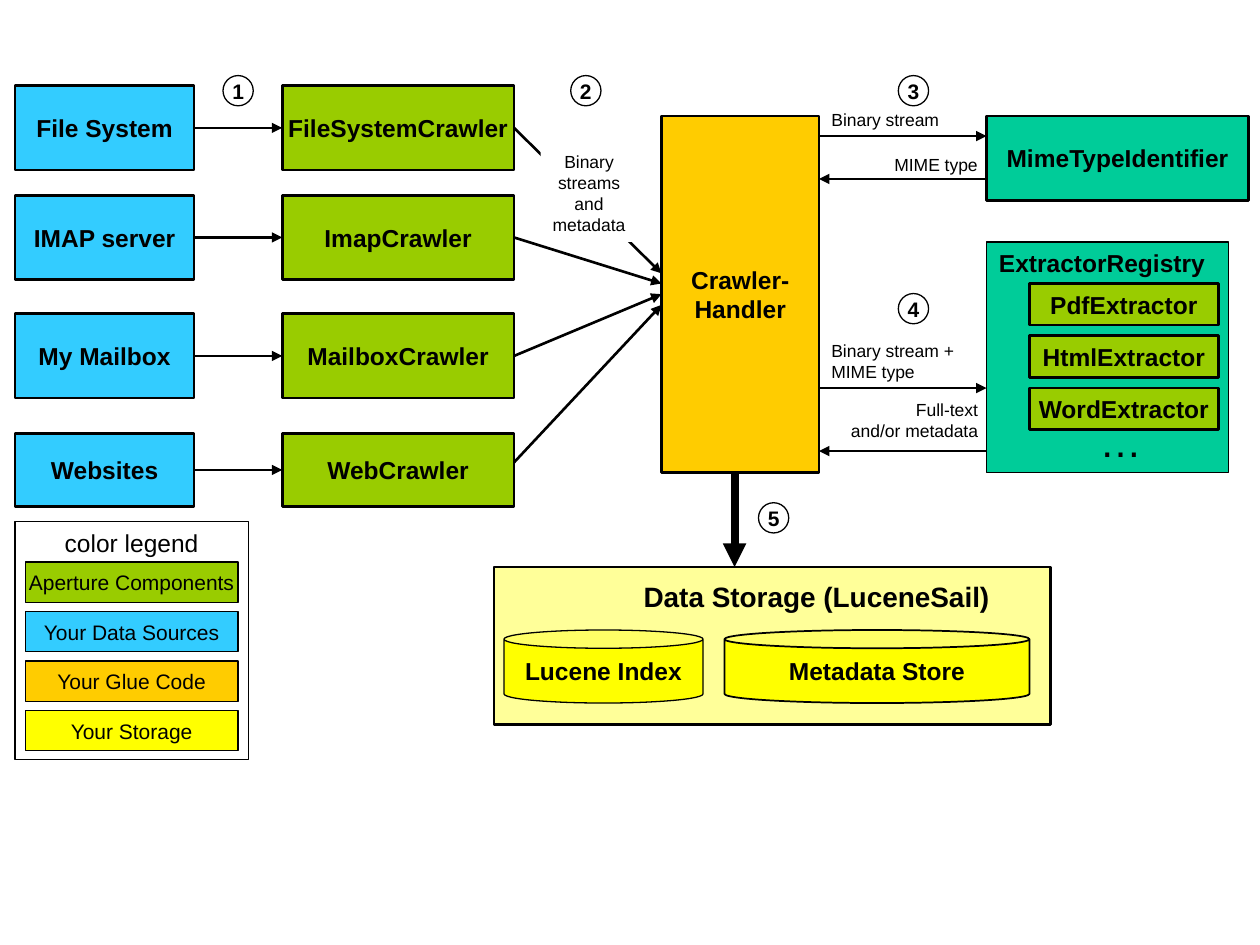
from dataclasses import dataclass
from typing import NamedTuple

import pptx
import pptx.dml.color
import pptx.enum.shapes
import pptx.enum.text
import pptx.oxml
import pptx.oxml.ns
import pptx.util

Inches = pptx.util.Inches
Pt = pptx.util.Pt
SHAPE = pptx.enum.shapes.MSO_SHAPE
ALIGN = pptx.enum.text.PP_ALIGN
ANCHOR = pptx.enum.text.MSO_ANCHOR


@dataclass(frozen=True)
class Theme:
    font: str = "Arial"
    ink: str = "000000"
    white: str = "FFFFFF"
    source: str = "33CCFF"
    component: str = "99CC00"
    glue: str = "FFCC00"
    service: str = "00CC99"
    storage: str = "FFFF00"
    storage_back: str = "FFFF99"
    note: int = 10
    small: int = 12
    body: int = 14
    title: int = 16
    dots: int = 24
    thin: float = 0.75
    medium: float = 1
    line: float = 1.5
    thick: float = 4.5


class Box(NamedTuple):
    left: float
    top: float
    width: float
    height: float

    def inner(self, left, top, width, height):
        return Box(self.left + left, self.top + top, width, height)

    def lengths(self):
        return [Inches(value) for value in self]


THEME = Theme()


def color(value):
    return pptx.dml.color.RGBColor.from_string(value)


def write(shape, text, size, bold=False, align=ALIGN.CENTER, anchor=ANCHOR.MIDDLE):
    frame = shape.text_frame
    frame.word_wrap = False
    frame.vertical_anchor = anchor
    paragraph = frame.paragraphs[0]
    paragraph.text = text
    paragraph.alignment = align
    paragraph.font.name = THEME.font
    paragraph.font.size = Pt(size)
    paragraph.font.bold = bold
    paragraph.font.color.rgb = color(THEME.ink)


def add_block(shapes, box, fill, text="", size=THEME.body, bold=True,
              line=THEME.line, kind=SHAPE.RECTANGLE, anchor=ANCHOR.MIDDLE):
    shape = shapes.add_shape(kind, *box.lengths())
    shape.shadow.inherit = False
    if fill:
        shape.fill.solid()
        shape.fill.fore_color.rgb = color(fill)
    else:
        shape.fill.background()
    if line:
        shape.line.color.rgb = color(THEME.ink)
        shape.line.width = Pt(line)
    else:
        shape.line.fill.background()
    if text:
        write(shape, text, size, bold, anchor=anchor)
    return shape


def add_label(shapes, box, text, size=THEME.note, bold=False, align=ALIGN.LEFT):
    shape = shapes.add_textbox(*box.lengths())
    write(shape, text, size, bold, align, ANCHOR.TOP)
    shape.text_frame.auto_size = pptx.enum.text.MSO_AUTO_SIZE.SHAPE_TO_FIT_TEXT


def add_arrow(shapes, start, end, width=THEME.line, begin=None, finish=None):
    arrow = shapes.add_connector(
        pptx.enum.shapes.MSO_CONNECTOR.STRAIGHT, *[Inches(v) for v in (*start, *end)])
    if begin:
        arrow.begin_connect(begin, 3)
    if finish:
        arrow.end_connect(finish, 1)
    arrow.line.color.rgb = color(THEME.ink)
    arrow.line.width = Pt(width)
    line = arrow.line._get_or_add_ln()
    head = pptx.oxml.parse_xml(f'<a:tailEnd {pptx.oxml.ns.nsdecls("a")} type="triangle"/>')
    line.append(head)
    effects = pptx.oxml.parse_xml(f'<a:effectLst {pptx.oxml.ns.nsdecls("a")}/>')
    line.addnext(effects)


def add_crawlers(shapes, box):
    rows = [
        ("File System", "FileSystemCrawler", 0, 0.67),
        ("IMAP server", "ImapCrawler", 0.87, 0.67),
        ("My Mailbox", "MailboxCrawler", 1.81, 0.67),
        ("Websites", "WebCrawler", 2.76, 0.58),
    ]
    source_width, crawler_width = 1.42, 1.84
    crawlers = []
    for source_name, crawler_name, top, height in rows:
        source = add_block(shapes, box.inner(0, top, source_width, height),
                           THEME.source, source_name)
        left = box.width - crawler_width
        crawler = add_block(shapes, box.inner(left, top, crawler_width, height),
                            THEME.component, crawler_name)
        middle = box.top + top + height / 2
        add_arrow(shapes, (box.left + source_width, middle), (box.left + left, middle),
                  begin=source, finish=crawler)
        crawlers.append(crawler)
    return crawlers


def add_handler(shapes, box):
    return add_block(shapes, box, THEME.glue, "Crawler-\nHandler")


def add_streams(shapes, box, crawlers, handler):
    file_system, imap, mailbox, _ = crawlers
    routes = [(0, 1.17, file_system, None), (0.92, 1.25, imap, None),
              (1.83, 1.33, mailbox, handler), (2.67, 1.42, None, None)]
    for start, end, crawler, target in routes:
        add_arrow(shapes, (box.left, box.top + start),
                  (box.left + box.width, box.top + end), begin=crawler, finish=target)
    add_block(shapes, box.inner(0.21, 0.15, 0.77, 0.77), THEME.white,
              "Binary\nstreams\nand\nmetadata", THEME.note, False, None, anchor=ANCHOR.TOP)


def add_exchange(shapes, box, request, request_box, reply, reply_box, reply_align):
    right, bottom = box.left + box.width, box.top + box.height
    add_arrow(shapes, (box.left, box.top), (right, box.top))
    add_label(shapes, box.inner(*request_box), request)
    add_arrow(shapes, (right, bottom), (box.left, bottom))
    add_label(shapes, box.inner(*reply_box), reply, align=reply_align)


def add_registry(shapes, box):
    add_block(shapes, box, THEME.service, line=THEME.thin)
    add_label(shapes, box.inner(0, 0, 1.88, 0.34), "ExtractorRegistry", THEME.body, True)
    for index, name in enumerate(["PdfExtractor", "HtmlExtractor", "WordExtractor"]):
        add_block(shapes, box.inner(0.34, 0.33 + index * 0.415, 1.5, 0.33),
                  THEME.component, name)
    add_label(shapes, box.inner(0.8, 1.33, 0.53, 0.5), "…", THEME.dots)


def add_storage(shapes, box):
    add_block(shapes, box, THEME.storage_back)
    add_label(shapes, box.inner(1.09, 0.05, 3, 0.37), "Data Storage (LuceneSail)",
              THEME.title, True)
    for name, left, width, line in [("Lucene Index", 0.08, 1.58, THEME.thin),
                                    ("Metadata Store", 1.83, 2.42, THEME.medium)]:
        add_block(shapes, box.inner(left, 0.5, width, 0.58), THEME.storage, name,
                  line=line, kind=SHAPE.CAN)


def add_legend(shapes, box):
    group = shapes.add_group_shape()
    add_block(group.shapes, box, None, "color legend", bold=False,
              line=THEME.thin, anchor=ANCHOR.TOP)
    entries = [("Aperture Components", THEME.component), ("Your Data Sources", THEME.source),
               ("Your Glue Code", THEME.glue), ("Your Storage", THEME.storage)]
    for index, (name, fill) in enumerate(entries):
        add_block(group.shapes, box.inner(0.08, 0.32 + index * 0.393, 1.69, 0.32), fill,
                  name, THEME.small, False, THEME.thin)


def add_steps(shapes, box):
    centers = [(1.89, 0.72), (4.65, 0.72), (7.25, 0.72), (7.25, 2.45), (6.14, 4.11)]
    size = 0.24
    for number, (x, y) in enumerate(centers, 1):
        add_block(shapes, box.inner(x - size / 2, y - size / 2, size, size), THEME.white,
                  str(number), THEME.small, True, THEME.thin, SHAPE.OVAL)


def main():
    presentation = pptx.Presentation()
    presentation.slide_width, presentation.slide_height = Inches(10), Inches(7.5)
    shapes = presentation.slides.add_slide(presentation.slide_layouts[6]).shapes
    crawlers = add_crawlers(shapes, Box(0.12, 0.68, 3.96, 3.34))
    add_registry(shapes, Box(7.83, 1.92, 1.92, 1.83))
    handler = add_handler(shapes, Box(5.25, 0.92, 1.25, 2.83))
    add_streams(shapes, Box(4.08, 1, 1.17, 2.67), crawlers, handler)
    add_block(shapes, Box(7.83, 0.92, 2.08, 0.67), THEME.service, "MimeTypeIdentifier")
    add_exchange(shapes, Box(6.5, 1.08, 1.33, 0.34),
                 "Binary stream", (0, -0.26, 1.05, 0.27),
                 "MIME type", (0.5, 0.09, 0.86, 0.27), ALIGN.LEFT)
    add_exchange(shapes, Box(6.5, 3.08, 1.33, 0.5),
                 "Binary stream +\nMIME type", (0, -0.43, 1.17, 0.44),
                 "Full-text\nand/or metadata", (0.15, 0.04, 1.21, 0.44), ALIGN.RIGHT)
    add_storage(shapes, Box(3.92, 4.5, 4.42, 1.25))
    add_arrow(shapes, (5.83, 3.75), (5.83, 4.5), THEME.thick)
    add_legend(shapes, Box(0.12, 4.14, 1.85, 1.89))
    add_steps(shapes, Box(0, 0, 10, 7.5))
    presentation.save("out.pptx")


if __name__ == "__main__":
    main()
